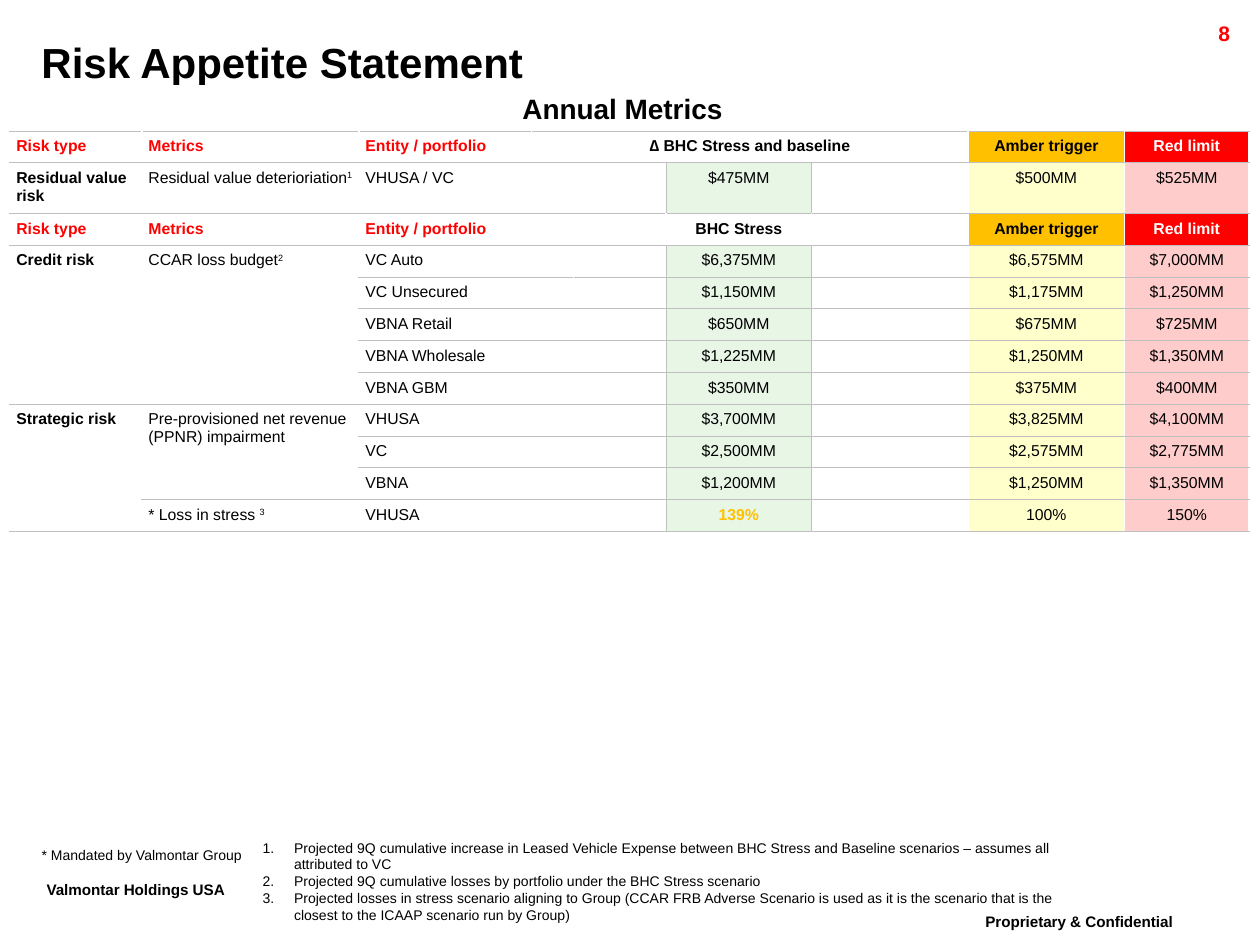
from lxml.etree import SubElement
from pptx import Presentation
from pptx.dml.color import RGBColor
from pptx.enum.text import MSO_ANCHOR, MSO_AUTO_SIZE, PP_ALIGN
from pptx.oxml.ns import qn
from pptx.util import Pt

COLORS = {
    "black": "000000", "white": "FFFFFF", "red": "FF0000", "amber": "FFC000",
    "green": "E8F6E6", "yellow": "FFFFCC", "pink": "FFCCCC", "grey": "BFBFBF",
}
COLUMN_WIDTHS = [75.5, 124, 98.5, 24, 53, 83, 89.5, 89.5, 71]
ROW_HEIGHTS = [26, 18, 29] + [18] * 10
HEADER_ROWS = (1, 3)
HEADER_FILLS = {7: "amber", 8: "red"}
DATA_FILLS = {5: "green", 7: "yellow", 8: "pink"}
HEADER_COLORS = {0: "red", 1: "red", 2: "red", 8: "white"}
STRESS_COLUMN = 5
TEXT_COLUMNS = (0, 1, 2, 5, 7, 8)
LABELS = ("Risk type", "Metrics", "Entity / portfolio")
LIMITS = ("Amber trigger", "Red limit")
ROWS = [
    (),
    LABELS + ("",) + LIMITS,
    ("Residual value risk", "Residual value deterioriation^1", "VHUSA / VC",
     "$475MM", "$500MM", "$525MM"),
    LABELS + ("BHC Stress",) + LIMITS,
    ("Credit risk", "CCAR loss budget^2", "VC Auto", "$6,375MM", "$6,575MM", "$7,000MM"),
    ("", "", "VC Unsecured", "$1,150MM", "$1,175MM", "$1,250MM"),
    ("", "", "VBNA Retail", "$650MM", "$675MM", "$725MM"),
    ("", "", "VBNA Wholesale", "$1,225MM", "$1,250MM", "$1,350MM"),
    ("", "", "VBNA GBM", "$350MM", "$375MM", "$400MM"),
    ("Strategic risk", "Pre-provisioned net revenue (PPNR) impairment", "VHUSA",
     "$3,700MM", "$3,825MM", "$4,100MM"),
    ("", "", "VC", "$2,500MM", "$2,575MM", "$2,775MM"),
    ("", "", "VBNA", "$1,200MM", "$1,250MM", "$1,350MM"),
    ("", "* Loss in stress ^3", "VHUSA", "139%", "100%", "150%"),
]
MERGES = [(0, 0, 0, 8), (1, 3, 1, 6), (4, 0, 8, 0), (4, 1, 8, 1), (9, 0, 12, 0), (9, 1, 11, 1)]
MERGES += [(row, 3, row, 4) for row in range(2, 13) if row != 5]
FOOTNOTES = [
    "Projected 9Q cumulative increase in Leased Vehicle Expense between BHC Stress and "
    "Baseline scenarios – assumes all attributed to VC",
    "Projected 9Q cumulative losses by portfolio under the BHC Stress scenario",
    "Projected losses in stress scenario aligning to Group (CCAR FRB Adverse Scenario is used "
    "as it is the scenario that is the closest to the ICAAP scenario run by Group)",
]


def rgb(name):
    return RGBColor.from_string(COLORS[name])


def style_span(span, size, color="black", bold=False, raised=False):
    span.font.name = "Arial"
    span.font.size = Pt(size)
    span.font.bold = bold
    span.font.color.rgb = rgb(color)
    if raised:
        span._r.get_or_add_rPr().set("baseline", "30000")


def place(shape, box):
    shape.left, shape.top, shape.width, shape.height = map(Pt, box)


def set_frame(frame, inset, anchor, wrap=True):
    frame.word_wrap = wrap
    frame.auto_size = MSO_AUTO_SIZE.NONE
    frame.vertical_anchor = anchor
    if not inset:
        frame.margin_left = frame.margin_right = frame.margin_top = frame.margin_bottom = 0


def add_label(page, box, text, size, color="black", bold=True, raised=False,
              align=PP_ALIGN.LEFT, inset=True, anchor=MSO_ANCHOR.TOP, wrap=True):
    label = page.shapes.add_textbox(*map(Pt, box))
    set_frame(label.text_frame, inset, anchor, wrap)
    para = label.text_frame.paragraphs[0]
    para.text = text
    para.alignment = align
    style_span(para.runs[0], size, color, bold, raised)


def fill_title(page, box):
    title = page.shapes.title
    place(title, box)
    set_frame(title.text_frame, True, MSO_ANCHOR.TOP)
    title.text_frame.text = "Risk Appetite Statement"
    para = title.text_frame.paragraphs[0]
    para.alignment = PP_ALIGN.LEFT
    style_span(para.runs[0], 24, bold=True)


def fill_footnotes(page, box):
    notes = page.placeholders[1]
    place(notes, box)
    set_frame(notes.text_frame, False, MSO_ANCHOR.BOTTOM)
    notes.text_frame.text = "\n".join(FOOTNOTES)
    for para in notes.text_frame.paragraphs:
        properties = para._p.get_or_add_pPr()
        properties.set("marL", str(Pt(18)))
        properties.set("indent", str(-Pt(18)))
        SubElement(properties, qn("a:buFont"), typeface="+mj-lt")
        SubElement(properties, qn("a:buAutoNum"), type="arabicPeriod")
        para.space_before = Pt(0)
        style_span(para.runs[0], 8)


def set_border(cell, side, color, width):
    line = SubElement(cell._tc.get_or_add_tcPr(), qn(f"a:ln{side}"), w=str(Pt(width)))
    fill = SubElement(line, qn("a:solidFill"))
    SubElement(fill, qn("a:srgbClr"), val=COLORS[color])


def style_cell(cell, row, column):
    cell.margin_left = cell.margin_right = cell.margin_top = cell.margin_bottom = Pt(3.6)
    header = row in HEADER_ROWS
    fills = HEADER_FILLS if header else DATA_FILLS if row else {}
    if not cell.is_spanned:
        framed = {"L": (5, 6), "R": (3, 4, 5)}
        for side in "LR":
            grey = row and not header and column in framed[side]
            if side == "R" and column == 3 and not cell.is_merge_origin:
                grey = False
            set_border(cell, side, "grey" if grey else "white", 0.75 if grey else 1)
        for side in "TB" if row else "B":
            set_border(cell, side, "grey", 0.75)
    if column in fills:
        cell.fill.solid()
        cell.fill.fore_color.rgb = rgb(fills[column])
    else:
        cell.fill.background()


def write_cell(cell, row, column, text):
    para = cell.text_frame.paragraphs[0]
    if not text:
        SubElement(para._p, qn("a:endParaRPr"), sz="900")
        return
    header = row in HEADER_ROWS
    breached = text == "139%"
    color = HEADER_COLORS.get(column, "black") if header else "amber" if breached else "black"
    bold = header or column == 0 or breached
    para.alignment = PP_ALIGN.CENTER if column > 2 else PP_ALIGN.LEFT
    for index, part in enumerate(text.split("^")):
        span = para.add_run()
        span.text = part
        style_span(span, 9, color, bold, raised=index == 1)


def add_metrics_table(page, box):
    frame = page.shapes.add_table(len(ROW_HEIGHTS), len(COLUMN_WIDTHS), *map(Pt, box))
    table = frame.table
    table.first_row = table.horz_banding = False
    for column, width in zip(table.columns, COLUMN_WIDTHS):
        column.width = Pt(width)
    for row, height in zip(table.rows, ROW_HEIGHTS):
        row.height = Pt(height)
    for top, left, bottom, right in MERGES:
        table.cell(top, left).merge(table.cell(bottom, right))
    for row, texts in enumerate(ROWS):
        content = dict(zip(TEXT_COLUMNS, texts))
        if row == 1:
            content[3] = "∆ BHC Stress and baseline"
        for column in range(len(COLUMN_WIDTHS)):
            cell = table.cell(row, column)
            style_cell(cell, row, column)
            write_cell(cell, row, column, content.get(column, ""))


def add_page_marks(page, width):
    add_label(page, (width - 164, 516, 157, 25), "Proprietary & Confidential", 15, raised=True)
    add_label(page, (19.5, 497.5, 137.5, 25), "Valmontar Holdings USA", 15, raised=True, wrap=False)
    add_label(page, (width - 78.5, 8, 68.5, 17), "8", 12, "red", align=PP_ALIGN.RIGHT)


def main():
    deck = Presentation()
    deck.slide_width, deck.slide_height = Pt(720), Pt(540)
    page = deck.slides.add_slide(deck.slide_layouts[1])
    add_page_marks(page, 720)
    add_metrics_table(page, (5.75, 49, sum(COLUMN_WIDTHS), sum(ROW_HEIGHTS)))
    fill_footnotes(page, (150, 479.5, 468, 48))
    fill_title(page, (16.5, 17.25, 703.5, 36))
    add_label(page, (23.75, 484, 551.5, 9.5), "* Mandated by Valmontar Group", 8, bold=False,
              inset=False, anchor=MSO_ANCHOR.BOTTOM)
    add_label(page, (175.75, 49, 360, 26.5), "Annual Metrics", 16, align=PP_ALIGN.CENTER)
    deck.save("out.pptx")


if __name__ == "__main__":
    main()
